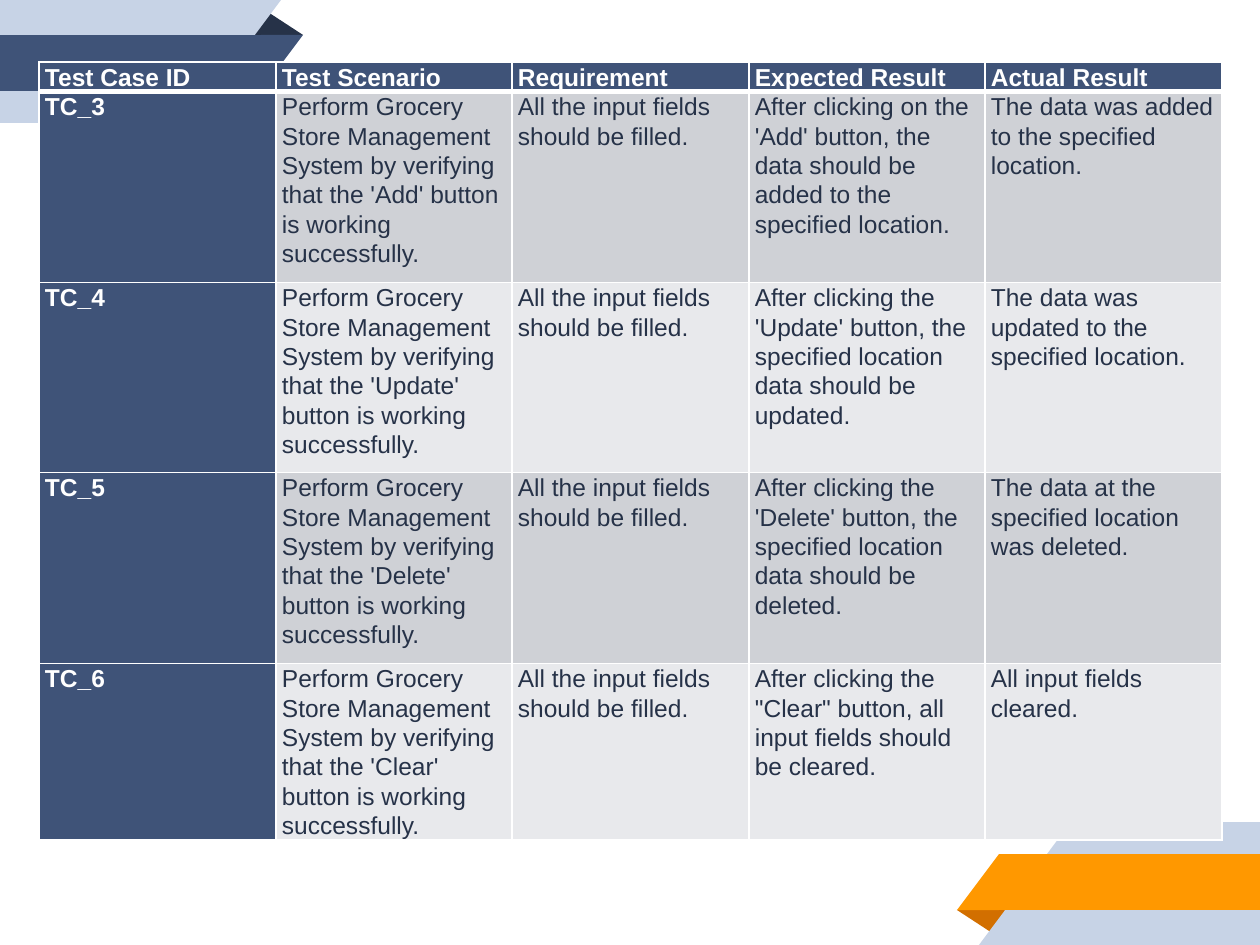
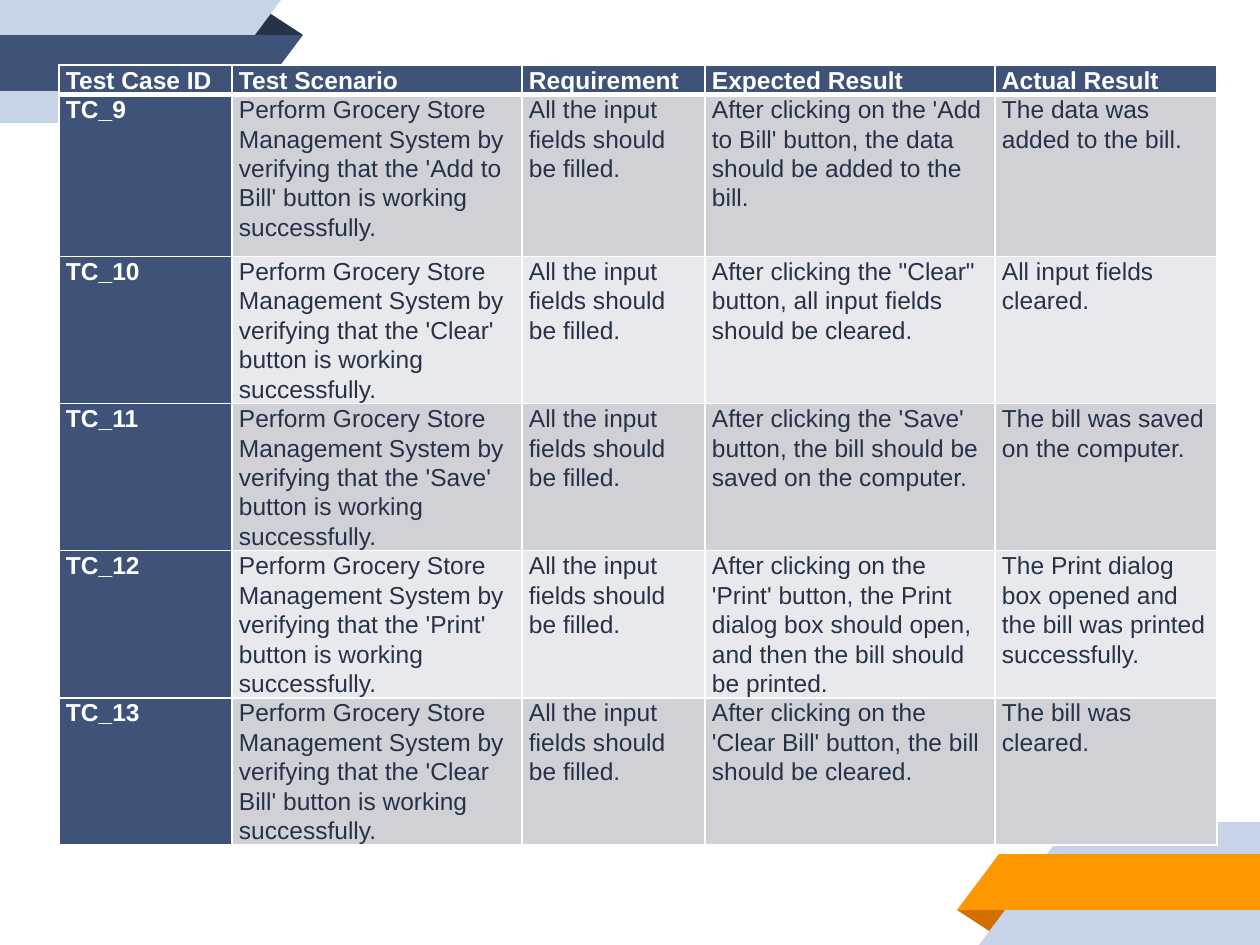
import pptx
import pptx.util
import pptx.oxml
import pptx.dml.color
import pptx.enum.shapes
import pptx.oxml.ns

WIDTH, HEIGHT = 1260, 945
COLORS = {
    "navy": "3F5378", "ink": "263248", "pale": "C7D3E6", "orange": "FF9800",
    "rust": "D26F00", "white": "FFFFFF", "dark_row": "CFD1D6", "light_row": "E8E9EC",
}
SHAPES = pptx.enum.shapes.MSO_SHAPE
HEADERS = ["Test Case ID", "Test Scenario", "Requirement", "Expected Result", "Actual Result"]
SCENARIO = "Perform Grocery Store Management System by verifying that the '{}' button is working successfully."
REQUIREMENT = "All the input fields should be filled."
CLEAR_EXPECTED = 'After clicking the "Clear" button, all input fields should be cleared.'
CLEAR_ACTUAL = "All input fields cleared."


def px(n):
    return pptx.util.Emu(round(n * 914400 / 126))


def rgb(name):
    return pptx.dml.color.RGBColor.from_string(COLORS[name])


class Deck:
    font, size = "Arial", 14

    def __init__(self):
        self.prs = pptx.Presentation()
        self.prs.slide_width, self.prs.slide_height = px(WIDTH), px(HEIGHT)

    def slide(self):
        self.s = self.prs.slides.add_slide(self.prs.slide_layouts[6])
        self.ribbon("navy", "ink")
        self.ribbon("orange", "rust", turned=True)

    def shape(self, group, kind, box, color, turned):
        x, y, w, h = box
        if turned:  # half turn about the slide centre
            x, y = WIDTH - x - w, HEIGHT - y - h
        sp = group.shapes.add_shape(kind, px(x), px(y), px(w), px(h))
        sp.shadow.inherit = False
        sp.fill.solid()
        sp.fill.fore_color.rgb = rgb(color)
        sp.line.fill.background()
        if kind == SHAPES.RIGHT_TRIANGLE:
            sp._element.spPr.xfrm.set("flipV", "1")
        if turned:
            sp.rotation = 180
        return sp

    def ribbon(self, band, fold, turned=False):
        group = self.s.shapes.add_group_shape()
        sp = self.shape(group, SHAPES.ISOSCELES_TRIANGLE, (249, 11, 54, 24), fold, turned)
        sp.adjustments[0] = 0.32
        # Each strip is a bar with a slanted end
        for y, bar, end, h, color in [(0, 189, 92, 123, "pale"), (35, 261, 42, 56, band)]:
            self.shape(group, SHAPES.RECTANGLE, (0, y, bar, h), color, turned)
            self.shape(group, SHAPES.RIGHT_TRIANGLE, (bar, y, end, h), color, turned)

    def borders(self, cell, top, bottom):
        tcPr = cell._tc.get_or_add_tcPr()
        for side, width in [("L", 1), ("R", 1), ("T", top), ("B", bottom)]:
            tcPr.append(pptx.oxml.parse_xml(
                f'<a:ln{side} {pptx.oxml.ns.nsdecls("a")} w="{width * 12700}"><a:solidFill>'
                f'<a:srgbClr val="{COLORS["white"]}"/></a:solidFill></a:ln{side}>'))

    def cell(self, cell, text, row, col, inset):
        heading = row == 0 or col == 0
        self.borders(cell, 3 if row == 1 else 1, 3 if row == 0 else 1)
        cell.fill.solid()
        cell.fill.fore_color.rgb = rgb("navy" if heading else "dark_row" if row % 2 else "light_row")
        cell.margin_left = cell.margin_right = px(inset)
        cell.margin_top = cell.margin_bottom = 0
        p = cell.text_frame.paragraphs[0]
        p.line_spacing = 1.07
        p.space_after = pptx.util.Pt(8)
        r = p.add_run()
        r.text = text
        r.font.name, r.font.size, r.font.bold = self.font, pptx.util.Pt(self.size), heading
        r.font.color.rgb = rgb("white" if heading else "ink")

    def test_table(self, x, y, widths, heights, inset, cases):
        rows = [HEADERS] + [[case, SCENARIO.format(button), REQUIREMENT, expected, actual]
                            for case, button, expected, actual in cases]
        table = self.s.shapes.add_table(len(rows), len(widths), px(x), px(y),
                                        px(sum(widths)), px(sum(heights))).table
        table.first_row = table.horz_banding = False
        for column, w in zip(table.columns, widths):
            column.width = px(w)
        for i, (texts, h) in enumerate(zip(rows, heights)):
            table.rows[i].height = px(h)
            for j, text in enumerate(texts):
                self.cell(table.cell(i, j), text, i, j, inset)


def main():
    deck = Deck()

    # Stock buttons
    deck.slide()
    deck.test_table(39, 62, [237, 236, 237, 236, 237], [29, 191, 190, 191, 176], 6, [
        ("TC_3", "Add",
         "After clicking on the 'Add' button, the data should be added to the specified location.",
         "The data was added to the specified location."),
        ("TC_4", "Update",
         "After clicking the 'Update' button, the specified location data should be updated.",
         "The data was updated to the specified location."),
        ("TC_5", "Delete",
         "After clicking the 'Delete' button, the specified location data should be deleted.",
         "The data at the specified location was deleted."),
        ("TC_6", "Clear", CLEAR_EXPECTED, CLEAR_ACTUAL),
    ])

    # Billing buttons
    deck.slide()
    deck.test_table(59, 65, [173, 290, 183, 290, 222], [29, 162, 147, 147, 147, 147], 7, [
        ("TC_9", "Add to Bill",
         "After clicking on the 'Add to Bill' button, the data should be added to the bill.",
         "The data was added to the bill."),
        ("TC_10", "Clear", CLEAR_EXPECTED, CLEAR_ACTUAL),
        ("TC_11", "Save",
         "After clicking the 'Save' button, the bill should be saved on the computer.",
         "The bill was saved on the computer."),
        ("TC_12", "Print",
         "After clicking on the 'Print' button, the Print dialog box should open, "
         "and then the bill should be printed.",
         "The Print dialog box opened and the bill was printed successfully."),
        ("TC_13", "Clear Bill",
         "After clicking on the 'Clear Bill' button, the bill should be cleared.",
         "The bill was cleared."),
    ])

    deck.prs.save("out.pptx")


if __name__ == "__main__":
    main()
